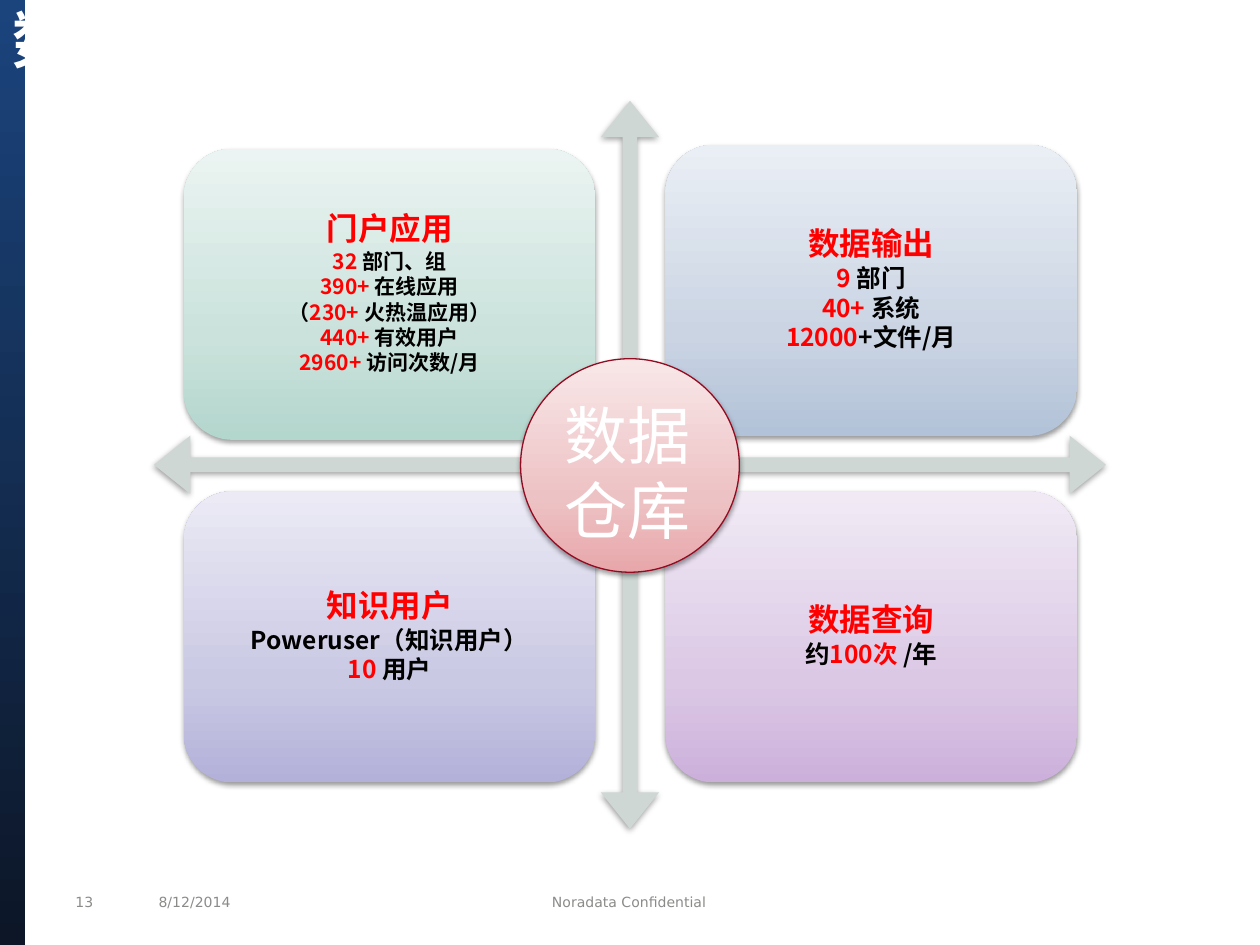
from copy import deepcopy
from dataclasses import dataclass

from lxml import etree
from pptx import Presentation
from pptx.dml.color import RGBColor
from pptx.enum.shapes import MSO_SHAPE
from pptx.enum.text import MSO_ANCHOR, MSO_AUTO_SIZE, PP_ALIGN
from pptx.oxml.ns import qn
from pptx.util import Pt

RECTANGLE = MSO_SHAPE.RECTANGLE
ROUNDED = MSO_SHAPE.ROUNDED_RECTANGLE
CIRCLE = MSO_SHAPE.FLOWCHART_CONNECTOR
QUAD_ARROW = MSO_SHAPE.QUAD_ARROW
TOP, MIDDLE = MSO_ANCHOR.TOP, MSO_ANCHOR.MIDDLE
LEFT, CENTER = PP_ALIGN.LEFT, PP_ALIGN.CENTER

CHINESE_FONT = "Noto Sans CJK SC"
FOOTER_FONT = "DejaVu Sans"
COLORS = {
    "red": "FF0000",
    "black": "000000",
    "white": "FFFFFF",
    "footer": "8B8B89",
    "arrow": "CED7D4",
    "circle_line": "930A21",
}
GRADIENTS = {
    "bar": [(0, "0C1627"), (1, "1B447D")],
    "green": [(0, "B3D6CD"), (0.35, "CAE2DB"), (1, "EBF4F2")],
    "blue": [(0, "B2C2D8"), (0.35, "CAD4E3"), (1, "EAEFF5")],
    "violet": [(0, "B3B1D9"), (0.35, "CAC9E4"), (1, "EBEAF5")],
    "purple": [(0, "CCB0DB"), (0.35, "DBC8E5"), (1, "F1EAF5")],
    "pink": [(0, "E8A7AA"), (0.35, "EDC2C4"), (1, "F9E7E8")],
}


@dataclass
class Card:
    left: float
    top: float
    gradient: str
    heading: str
    size: float
    lines: list[list[tuple[str, str]]]


@dataclass
class Footer:
    left: float
    width: float
    text: str
    alignment: PP_ALIGN


CARD_WIDTH, CARD_HEIGHT = 235.2, 166.3
LEFT_COLUMN, RIGHT_COLUMN, LOWER_ROW = 105, 380.2, 280.8
CARDS = [
    Card(LEFT_COLUMN, 85, "green", "门户应用", 12, [
        [("32 ", "red"), ("部门、组", "black")],
        [("390+ ", "red"), ("在线应用", "black")],
        [("（", "black"), ("230+ ", "red"), ("火热温应用）", "black")],
        [("440+ ", "red"), ("有效用户", "black")],
        [("2960+ ", "red"), ("访问次数/月", "black")],
    ]),
    Card(RIGHT_COLUMN, 82.8, "blue", "数据输出", 14, [
        [("9 ", "red"), ("部门", "black")],
        [("40+ ", "red"), ("系统", "black")],
        [("12000", "red"), ("+文件/月", "black")],
    ]),
    Card(LEFT_COLUMN, LOWER_ROW, "violet", "知识用户", 14, [
        [("Poweruser（知识用户）", "black")],
        [("10 ", "red"), ("用户", "black")],
    ]),
    Card(RIGHT_COLUMN, LOWER_ROW, "purple", "数据查询", 14, [
        [("约", "black"), ("100次", "red"), (" /年", "black")],
    ]),
]
FOOTERS = [
    Footer(36, 36, "13", LEFT),
    Footer(83.5, 120, "8/12/2014", LEFT),
    Footer(209.5, 300, "Noradata Confidential", CENTER),
]


def add_run(paragraph, text: str, size: float, color: str,
            bold: bool = False, font_name: str = CHINESE_FONT) -> None:
    run = paragraph.add_run()
    run.text = text
    font = run.font
    font.size = Pt(size)
    font.bold = bold
    font.color.rgb = RGBColor.from_string(COLORS[color])
    font.name = font_name
    east_asian = etree.SubElement(run._r.get_or_add_rPr(), qn("a:ea"))
    east_asian.set("typeface", font_name)


def add_plain_shape(slide, kind, left: float, top: float,
                    width: float, height: float):
    shape = slide.shapes.add_shape(kind, Pt(left), Pt(top), Pt(width), Pt(height))
    shape.shadow.inherit = False
    shape.line.fill.background()
    return shape


def fill_gradient(shape, name: str) -> None:
    stops = GRADIENTS[name]
    shape.fill.gradient()
    shape.fill.gradient_angle = 90
    stop_list = shape._element.spPr.find(".//" + qn("a:gsLst"))
    while len(stop_list) < len(stops):
        stop_list.append(deepcopy(stop_list[0]))
    for stop, (position, color) in zip(shape.fill.gradient_stops, stops):
        stop.position = position
        stop.color.rgb = RGBColor.from_string(color)


def add_shadow(shape) -> None:
    effects = shape._element.spPr.find(qn("a:effectLst"))
    shadow = etree.SubElement(effects, qn("a:outerShdw"), blurRad=str(Pt(3.1)),
                              dist=str(Pt(1.6)), dir="5400000", rotWithShape="0")
    color = etree.SubElement(shadow, qn("a:srgbClr"), val=COLORS["black"])
    etree.SubElement(color, qn("a:alpha"), val="38000")


def set_margins(frame, horizontal: float, vertical: float) -> None:
    frame.margin_left = frame.margin_right = Pt(horizontal)
    frame.margin_top = frame.margin_bottom = Pt(vertical)


def add_card(slide, card: Card) -> None:
    shape = add_plain_shape(slide, ROUNDED, card.left, card.top,
                            CARD_WIDTH, CARD_HEIGHT)
    fill_gradient(shape, card.gradient)
    add_shadow(shape)
    frame = shape.text_frame
    frame.word_wrap = True
    frame.vertical_anchor = MIDDLE
    set_margins(frame, 5, 5)
    rows = [(18, [(card.heading, "red")])]
    rows += [(card.size, line) for line in card.lines]
    for index, (size, runs) in enumerate(rows):
        paragraph = frame.add_paragraph() if index else frame.paragraphs[0]
        paragraph.alignment = CENTER
        paragraph.line_spacing = 0.9
        paragraph.space_after = Pt(size / 8)
        for text, color in runs:
            add_run(paragraph, text, size, color, bold=True)


def add_footer(slide, footer: Footer) -> None:
    box = slide.shapes.add_textbox(Pt(footer.left), Pt(507), Pt(footer.width), Pt(17.3))
    frame = box.text_frame
    frame.word_wrap = True
    frame.vertical_anchor = MIDDLE
    paragraph = frame.paragraphs[0]
    paragraph.alignment = footer.alignment
    add_run(paragraph, footer.text, 8, "footer", font_name=FOOTER_FONT)


def format_title(slide, bar) -> None:
    title = slide.shapes.title
    bar._element.addnext(title._element)
    title.left, title.top, title.width, title.height = Pt(0), Pt(0), Pt(348.5), Pt(57.6)
    frame = title.text_frame
    frame.auto_size = MSO_AUTO_SIZE.NONE
    frame.word_wrap = True
    frame.vertical_anchor = TOP
    set_margins(frame, 7.2, 0)
    paragraph = frame.paragraphs[0]
    paragraph.alignment = LEFT
    add_run(paragraph, "数据仓库服务内容", 36, "white", bold=True)


def add_arrows(slide) -> None:
    arrows = add_plain_shape(slide, QUAD_ARROW, 88, 57.6, 544, 416)
    for index, value in enumerate((0.02, 0.04, 0.05)):
        arrows.adjustments[index] = value
    arrows.fill.solid()
    arrows.fill.fore_color.rgb = RGBColor.from_string(COLORS["arrow"])
    add_shadow(arrows)


def add_center_circle(slide) -> None:
    circle = add_plain_shape(slide, CIRCLE, 297.5, 205, 125, 122)
    fill_gradient(circle, "pink")
    circle.line.color.rgb = RGBColor.from_string(COLORS["circle_line"])
    circle.line.width = Pt(0.75)
    add_shadow(circle)
    frame = circle.text_frame
    frame.word_wrap = True
    frame.vertical_anchor = TOP
    paragraph = frame.paragraphs[0]
    paragraph.alignment = LEFT
    add_run(paragraph, "数据仓库", 36, "white")


def main() -> None:
    presentation = Presentation()
    presentation.slide_width, presentation.slide_height = Pt(720), Pt(540)
    slide = presentation.slides.add_slide(presentation.slide_layouts[5])
    for footer in FOOTERS:
        add_footer(slide, footer)
    bar = add_plain_shape(slide, RECTANGLE, 0, 0, 14.4, 540)
    fill_gradient(bar, "bar")
    format_title(slide, bar)
    add_arrows(slide)
    for card in CARDS:
        add_card(slide, card)
    add_center_circle(slide)
    presentation.save("out.pptx")


if __name__ == "__main__":
    main()
